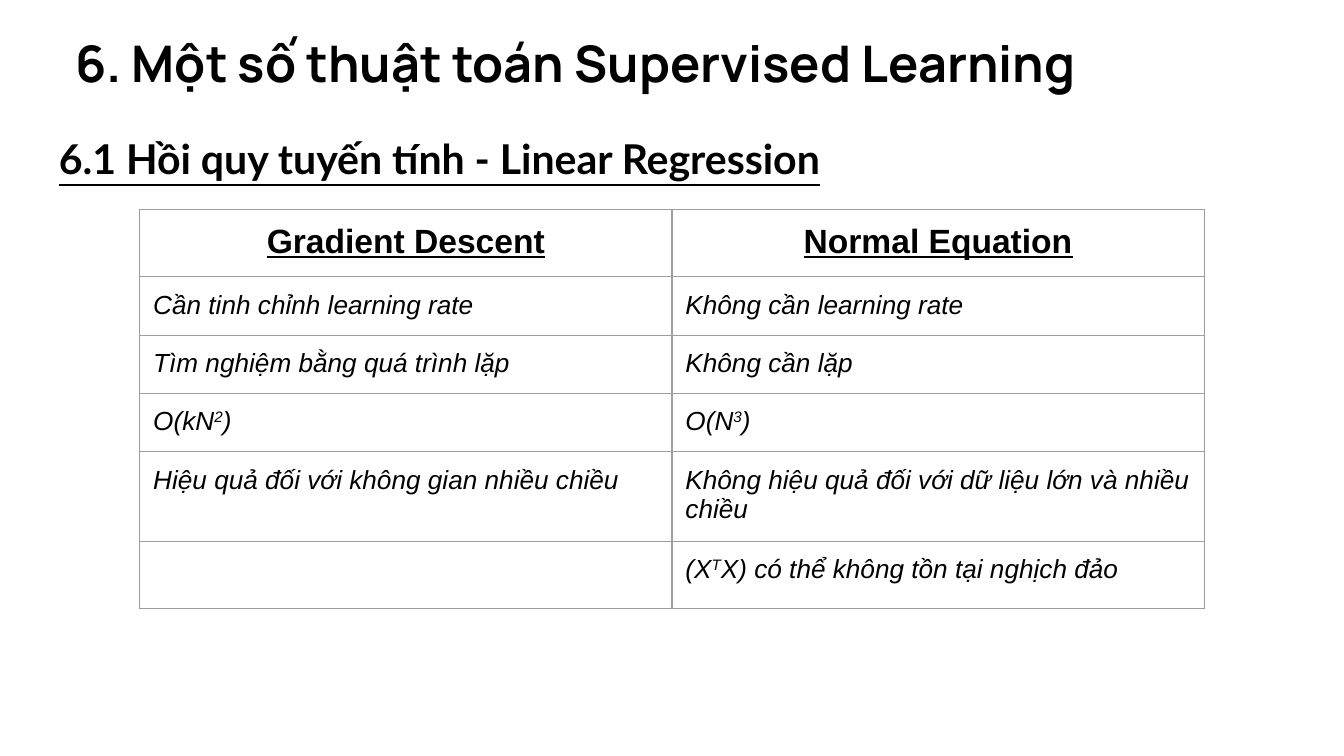
"""Build a slide comparing gradient descent with the normal equation."""
from lxml import etree
from pptx import Presentation
from pptx import util as u
from pptx.dml.color import RGBColor
from pptx.enum import text
from pptx.oxml.ns import qn

W = 10
H = W * 9 / 16
MARGIN = 0.1
COLORS = {"ink": "000000", "border": "9E9E9E"}
HEADERS = ("Gradient Descent", "Normal Equation")
ROWS = [
    ("Cần tinh chỉnh learning rate", "Không cần learning rate"),
    ("Tìm nghiệm bằng quá trình lặp", "Không cần lặp"),
    ("O(kN^2^)", "O(N^3^)"),
    ("Hiệu quả đối với không gian nhiều chiều",
     "Không hiệu quả đối với dữ liệu lớn và nhiều chiều"),
    ("", "(X^T^X) có thể không tồn tại nghịch đảo"),
]


def place(sp, x, y, w, h):
    """Position a shape by percentages of the slide's size."""
    sp.left, sp.width = u.Inches(x * W / 100), u.Inches(w * W / 100)
    sp.top, sp.height = u.Inches(y * H / 100), u.Inches(h * H / 100)


def set_margins(target):
    """Give a cell or text frame equal margins on all sides."""
    target.margin_left = target.margin_right = u.Inches(MARGIN)
    target.margin_top = target.margin_bottom = u.Inches(MARGIN)


def write(tf, content, size, font="Arial", bold=False, italic=False,
          underline=False, align=text.PP_ALIGN.LEFT, spacing=1.0):
    """Write one paragraph, raising the parts held between carets."""
    p = tf.paragraphs[0]
    p.alignment, p.line_spacing = align, spacing
    for i, part in enumerate(content.split("^")):
        r = p.add_run()
        r.text = part
        f = r.font
        f.name, f.size = font, u.Pt(size)
        f.bold, f.italic, f.underline = bold, italic, underline
        f.color.rgb = RGBColor.from_string(COLORS["ink"])
        if i % 2:
            f._element.set("baseline", "30000")


def add_title(s, content):
    """Fill the title placeholder."""
    sp = s.shapes.title
    place(sp, 4.6, 1.96, 93.2, 12.09)
    tf = sp.text_frame
    set_margins(tf)
    tf.word_wrap = True
    tf.auto_size = text.MSO_AUTO_SIZE.NONE
    tf.vertical_anchor = text.MSO_ANCHOR.BOTTOM
    write(tf, content, 27, font="Manrope", bold=True)


def add_subtitle(s, content):
    """Add the underlined section heading."""
    sp = s.shapes.add_textbox(0, 0, 0, 0)
    place(sp, 3.4, 14.93, 94.4, 83.38)
    tf = sp.text_frame
    set_margins(tf)
    tf.word_wrap = True
    write(tf, content, 22, font="Lato", bold=True, underline=True, spacing=1.15)


def add_borders(cell):
    """Draw a thin line on each side of a cell."""
    tc_pr = cell._tc.get_or_add_tcPr()
    for i, side in enumerate(("lnL", "lnR", "lnT", "lnB")):
        ln = etree.Element(qn(f"a:{side}"), w=str(u.Pt(0.75)))
        fill = etree.SubElement(ln, qn("a:solidFill"))
        etree.SubElement(fill, qn("a:srgbClr"), val=COLORS["border"])
        tc_pr.insert(i, ln)


def add_comparison(s):
    """Add the two-column comparison table."""
    rows = [HEADERS] + ROWS
    side = u.Inches(3.28)
    frame = s.shapes.add_table(len(rows), 2, u.Inches(1.04), u.Inches(1.56),
                               side, side)
    table = frame.table
    for col in table.columns:
        col.width = u.Inches(3.96)
    for i, row in enumerate(rows):
        table.rows[i].height = u.Inches(0.42)
        for j, content in enumerate(row):
            cell = table.cell(i, j)
            set_margins(cell)
            cell.fill.background()
            add_borders(cell)
            if i == 0:
                write(cell.text_frame, content, 18, bold=True, underline=True,
                      align=text.PP_ALIGN.CENTER)
            elif content:
                write(cell.text_frame, content, 14, italic=True)
    frame.width = frame.height = side


def main():
    """Assemble and save the slide."""
    prs = Presentation()
    prs.slide_width, prs.slide_height = u.Inches(W), u.Inches(H)
    s = prs.slides.add_slide(prs.slide_layouts[5])
    add_title(s, "6. Một số thuật toán Supervised Learning")
    add_subtitle(s, "6.1 Hồi quy tuyến tính - Linear Regression")
    add_comparison(s)
    prs.save("out.pptx")


if __name__ == "__main__":
    main()
